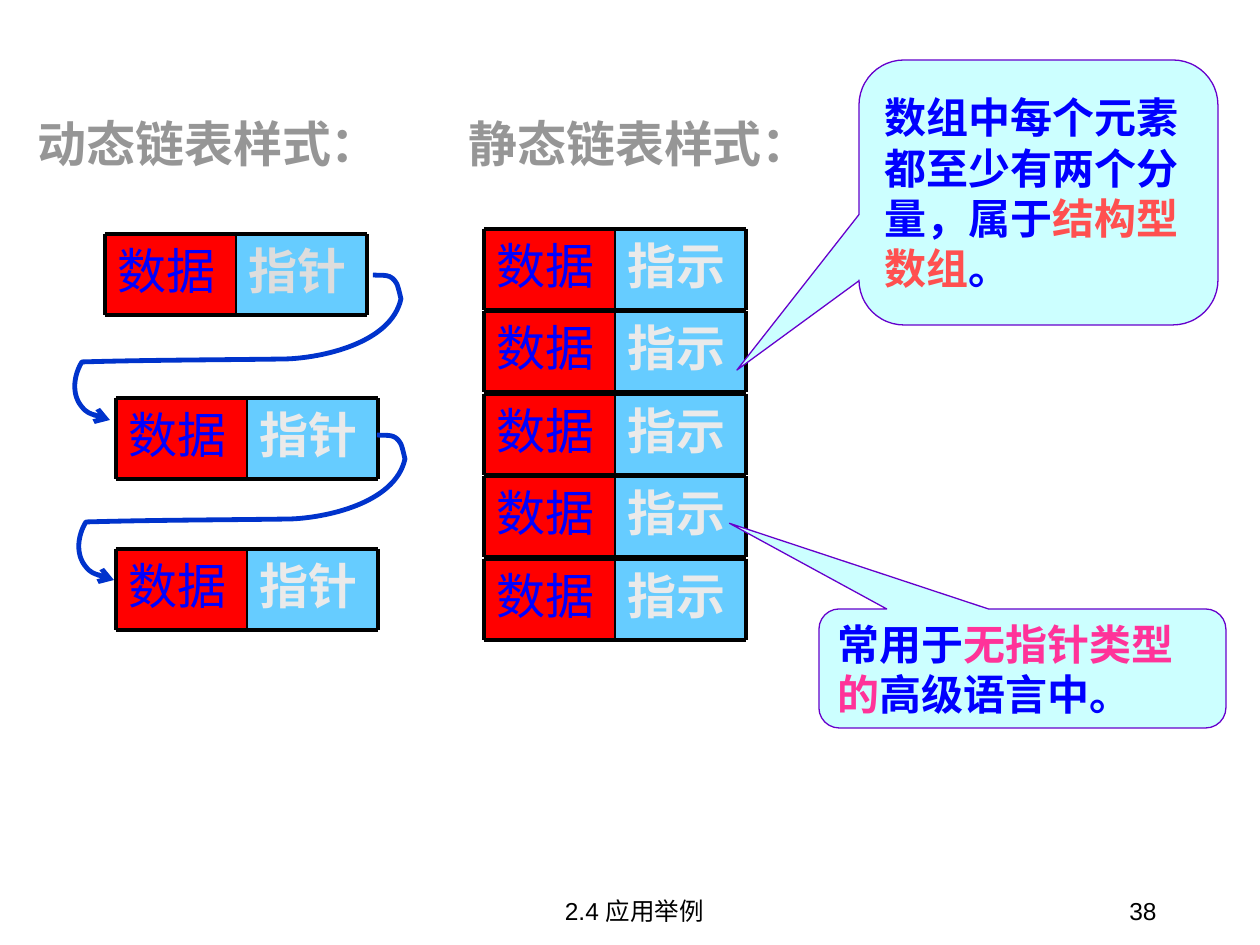
"""Build the slide comparing dynamic and static linked lists."""
import pptx
import pptx.dml.color
import pptx.enum.shapes
import pptx.enum.text
import pptx.oxml
import pptx.oxml.ns
import pptx.util

RGB = pptx.dml.color.RGBColor
KIND = pptx.enum.shapes.MSO_SHAPE
ALIGN = pptx.enum.text.PP_ALIGN
ANCHOR = pptx.enum.text.MSO_ANCHOR
qn = pptx.oxml.ns.qn

PX = 914400 // 126
CJK = "Noto Sans CJK SC"
BLACK = RGB(0, 0, 0)
GRAY = RGB(0x96, 0x96, 0x96)
SILVER = RGB(0xDD, 0xDD, 0xDD)
PALE = RGB(0xEA, 0xEA, 0xEA)
RED = RGB(0xFF, 0, 0)
SKY = RGB(0x66, 0xCC, 0xFF)
BLUE = RGB(0, 0, 0xFF)
NAVY = RGB(0, 0x33, 0xCC)
CORAL = RGB(0xFF, 0x50, 0x50)
PINK = RGB(0xFF, 0x33, 0x99)
CYAN = RGB(0xCC, 0xFF, 0xFF)
VIOLET = RGB(0x66, 0, 0xCC)

TITLES = [("动态链表样式：", 25), ("静态链表样式：", 456)]
NODES = [(105, 234, SILVER), (116, 398, PALE), (116, 549, PALE)]
SLOTS = [(484, 229 + row * 165 // 2, PALE) for row in range(5)]
CELL_W, CELL_H = 131, 81
CURVE = [
    (373, 275),
    (384, 276), (391, 273), (397, 284),
    (399, 289), (401, 299), (401, 299),
    (391, 344), (320, 358), (286, 359),
    (218, 360), (150, 360), (82, 362),
    (74, 375), (71, 394), (82, 407),
    (87, 413), (94, 415), (101, 417),
    (108, 420), (106, 420), (110, 420),
]
SHIFTS = [(0, 0), (4, 160)]
NOTES = [
    ((859, 60, 359, 265), (-0.84, 0.67, 0.17),
     [("数组中每个元素都至少有两个分量，属于", BLUE), ("结构型数组", CORAL), ("。", BLUE)]),
    ((819, 609, 407, 119), (-0.72, -1.22, 0.17),
     [("常用于", BLUE), ("无指针类型的", PINK), ("高级语言中。", BLUE)]),
]
FOOTERS = [("38", (907, 869, 262, 63), ALIGN.RIGHT),
           ("2.4 应用举例", (435, 869, 399, 63), ALIGN.CENTER)]


def emu(*sizes):
    return [size * PX for size in sizes]


def write(shape, runs, size=28, font="Arial", bold=False, align=ALIGN.LEFT, anchor=ANCHOR.TOP):
    frame = shape.text_frame
    frame.word_wrap = True
    frame.vertical_anchor = anchor
    para = frame.paragraphs[0]
    para.alignment = align
    for text, color in runs:
        run = para.add_run()
        run.text = text
        run.font.size = pptx.util.Pt(size)
        run.font.bold = bold
        run.font.color.rgb = color
        run.font.name = font
        east = run.font._element.makeelement(qn("a:ea"), {"typeface": CJK})
        run.font._element.append(east)


def paint(shape, fill, edge=None):
    shape.shadow.inherit = False
    shape.fill.solid()
    shape.fill.fore_color.rgb = fill
    if edge is None:
        shape.line.fill.background()
    else:
        shape.line.color.rgb = edge
        shape.line.width = pptx.util.Pt(0.75)


def rule(shapes, ends, width):
    line = shapes.add_connector(pptx.enum.shapes.MSO_CONNECTOR.STRAIGHT, *emu(*ends))
    line.line.color.rgb = BLACK
    line.line.width = pptx.util.Pt(width)
    props = line._element.spPr
    props.append(props.makeelement(qn("a:effectLst"), {}))


def node(shapes, left, top, label, color):
    mid, right, base = left + CELL_W, left + 2 * CELL_W, top + CELL_H
    link = shapes.add_shape(KIND.RECTANGLE, *emu(mid, top, CELL_W, CELL_H))
    paint(link, SKY)
    write(link, [(label, color)], bold=True)
    data = shapes.add_shape(KIND.RECTANGLE, *emu(left, top, CELL_W, CELL_H))
    paint(data, RED, PALE)
    write(data, [("数据", BLUE)])
    for y in (top, base):
        rule(shapes, (left, y, right, y), 2.25)
    for x, width in ((left, 2.25), (mid, 1), (right, 2.25)):
        rule(shapes, (x, top, x, base), width)


def arrow(shapes, dx, dy):
    points = [(x + dx, y + dy) for x, y in CURVE]
    pen = shapes.build_freeform(*points[0], scale=PX)
    pen.add_line_segments(points[1:], close=False)
    shape = pen.convert_to_shape()
    steps = list(shape._element.iter(qn("a:lnTo")))
    for start in range(0, len(steps), 3):
        trio = steps[start:start + 3]
        bend = trio[0].makeelement(qn("a:cubicBezTo"), {})
        trio[0].addprevious(bend)
        for step in trio:
            bend.append(step[0])
            step.getparent().remove(step)
    shape.shadow.inherit = False
    shape.fill.background()
    shape.line.color.rgb = NAVY
    shape.line.width = pptx.util.Pt(2.75)
    line = shape.line._get_or_add_ln()
    line.append(line.makeelement(qn("a:tailEnd"), {"type": "arrow"}))


def main():
    deck = pptx.Presentation()
    deck.slide_width = pptx.util.Inches(10)
    deck.slide_height = pptx.util.Inches(7.5)
    shapes = deck.slides.add_slide(deck.slide_layouts[6]).shapes

    for text, left in TITLES:
        box = shapes.add_textbox(*emu(left, 107, 357, 72))
        write(box, [(text, GRAY)], font="Times New Roman", bold=True)

    chain = shapes.add_group_shape().shapes
    for left, top, color in NODES:
        node(chain, left, top, "指针", color)
    for dx, dy in SHIFTS:
        arrow(chain, dx, dy)

    array = shapes.add_group_shape().shapes
    for left, top, color in SLOTS:
        node(array, left, top, "指示", color)

    for place, bends, runs in NOTES:
        note = shapes.add_shape(KIND.ROUNDED_RECTANGULAR_CALLOUT, *emu(*place))
        for index, bend in enumerate(bends):
            note.adjustments[index] = bend
        paint(note, CYAN, VIOLET)
        write(note, runs, size=24, font=CJK, bold=True, anchor=ANCHOR.MIDDLE)

    for text, place, align in FOOTERS:
        box = shapes.add_textbox(*emu(*place))
        write(box, [(text, BLACK)], size=14, align=align, anchor=ANCHOR.BOTTOM)

    deck.save("out.pptx")


if __name__ == "__main__":
    main()
